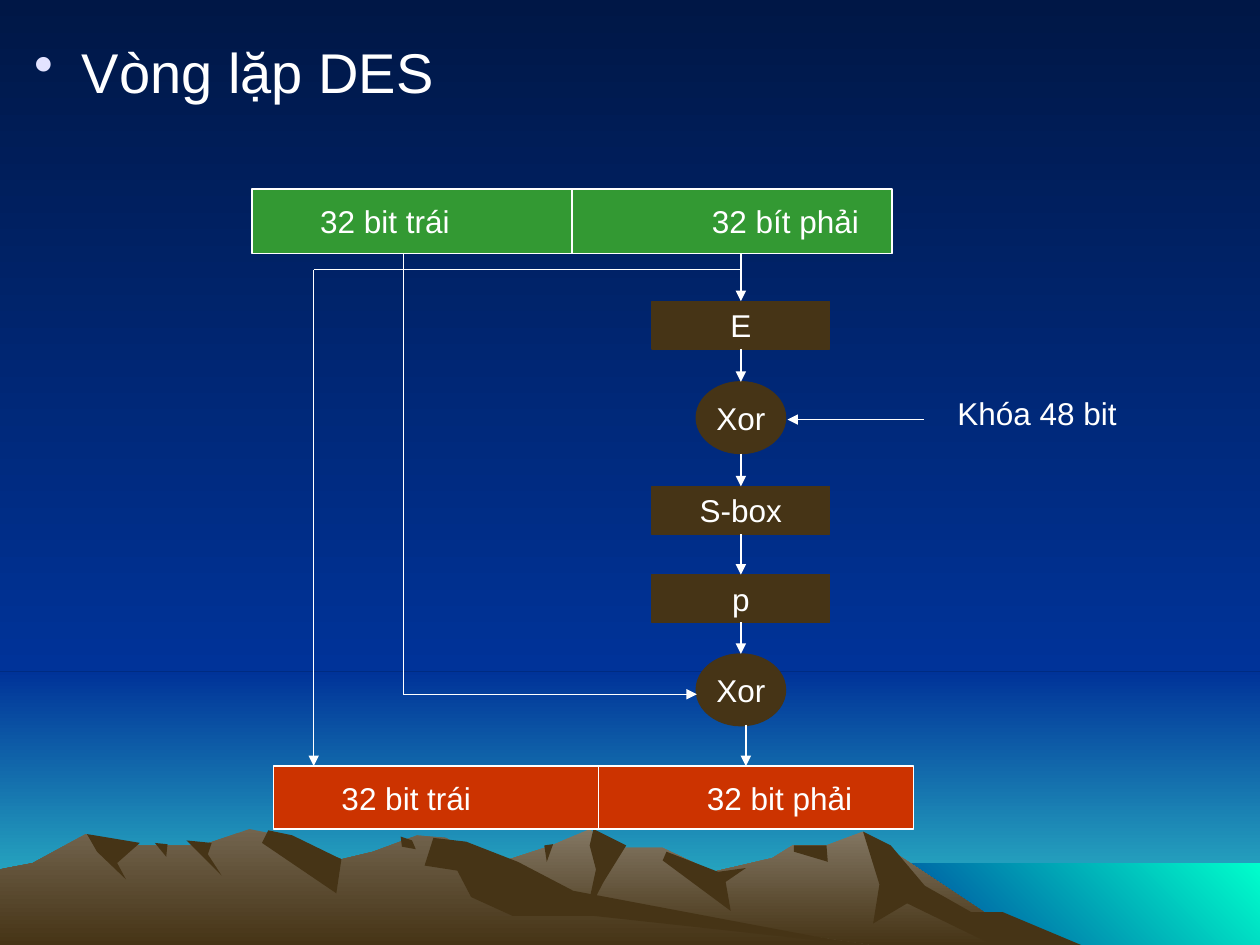
from lxml import etree
from pptx import Presentation
from pptx import util as u
from pptx.dml.color import RGBColor
from pptx.enum import shapes, text
from pptx.oxml.ns import qn

WHITE = RGBColor(0xFF, 0xFF, 0xFF)
NIGHT = RGBColor(0x00, 0x17, 0x46)
BLUE = RGBColor(0x00, 0x33, 0x99)
TEAL = RGBColor(0x33, 0xCC, 0xCC)
AQUA = RGBColor(0x00, 0xFF, 0xCC)
STONE = RGBColor(0x83, 0x77, 0x63)
EARTH = RGBColor(0x72, 0x64, 0x4E)
BROWN = RGBColor(0x46, 0x34, 0x16)
GREEN = RGBColor(0x33, 0x99, 0x33)
RED = RGBColor(0xCC, 0x33, 0x00)
LILAC = RGBColor(0xE3, 0xE3, 0xFF)

W, H = 10, 7.5
HORIZON = 5.33
SEA_X, SEA_Y = 6.83, 6.85
FONT = "Arial"
DOWN, DOWN_LEFT = 270, 225
RECT, OVAL = shapes.MSO_SHAPE.RECTANGLE, shapes.MSO_SHAPE.OVAL

TITLE = "Vòng lặp DES"
KEY = "Khóa 48 bit"

BACKDROP = [
    (0, HORIZON, W, H - HORIZON, (BLUE, TEAL), DOWN),
    (0, 0, W, HORIZON, (NIGHT, BLUE), DOWN),
    (SEA_X, SEA_Y, W - SEA_X, H - SEA_Y, (AQUA, BLUE), DOWN_LEFT),
]

PEAKS = [
    ((STONE, BROWN), [
        (2.58, H), (3.55, 6.98), (4.38, 6.71), (4.68, 6.58), (4.86, 6.73), (5.26, 6.73),
        (5.66, 6.92), (6.13, 6.81), (6.29, 6.71), (6.56, 6.71), (6.85, 6.6), (8.2, H)]),
    (BROWN, [
        (6.85, 6.6), (7.07, 6.71), (7.34, 7.03), (7.71, 7.24), (7.96, 7.24), (8.58, H),
        (7.88, H), (7.2, 7.17), (6.93, 7.33), (6.98, 7.02)]),
    (BROWN, [
        (4.71, 6.58), (4.97, 6.71), (4.79, 7), (4.65, 7.27), (4.73, 6.9), (4.68, 6.71)]),
    (BROWN, [(5.29, 6.76), (5.7, 6.92), (5.92, 6.89), (5.76, 7), (5.8, 7.23), (5.26, 6.83)]),
    (BROWN, [(6.3, 6.71), (6.56, 6.71), (6.57, 6.84), (6.3, 6.76)]),
    (BROWN, [(4.32, 6.71), (4.39, 6.7), (4.34, 6.84)]),
    ((EARTH, BROWN), [
        (0, H), (0, 6.9), (0.26, 6.85), (0.68, 6.62), (0.94, 6.71), (1.6, 6.71),
        (1.98, 6.58), (2.23, 6.63), (2.71, 6.82), (2.96, 6.76), (3.31, 6.63),
        (3.54, 6.65), (4.32, 7.12), (6.9, H)]),
    (BROWN, [(2.13, 6.59), (2.32, 6.63), (2.71, 6.82), (2.67, 7.09), (2.08, 6.69)]),
    (BROWN, [
        (3.44, 6.65), (3.7, 6.68), (4.11, 6.84), (4.55, 7.07), (6.83, H), (4.72, 7.27),
        (4.07, 7.27), (3.74, 7.12), (3.63, 6.91), (3.37, 6.87)]),
    (BROWN, [(3.18, 6.64), (3.27, 6.67), (3.3, 6.74), (3.19, 6.72)]),
    (BROWN, [(1.48, 6.67), (1.68, 6.69), (1.65, 6.78), (1.76, 6.95)]),
    (BROWN, [(1.23, 6.69), (1.33, 6.7), (1.32, 6.8)]),
    (BROWN, [(0.69, 6.62), (1.11, 6.69), (0.93, 6.85), (1, 6.98), (0.77, 6.76)]),
]

AXIS = 5.88
STEP_SIZE = {RECT: (1.41, 0.38), OVAL: (0.71, 0.57)}
STEPS = [
    ("E", RECT, 2.39),
    ("Xor", OVAL, 3.03),
    ("S-box", RECT, 3.86),
    ("p", RECT, 4.56),
    ("Xor", OVAL, 5.19),
]
BAND_W = 5.08
BANDS = [
    (("32 bit trái", "32 bít phải"), (2.54, 5.65), 2, 1.5, 0.51, 4.54, GREEN),
    (("32 bit trái", "32 bit phải"), (2.71, 5.61), 2.17, 6.08, 0.5, 4.75, RED),
]
TOP_EDGE, BOTTOM_EDGE = 2.01, 6.08
ROUTES = [
    [(3.2, TOP_EDGE), (3.2, 5.51), (5.53, 5.51)],
    [(AXIS, 2.14), (2.49, 2.14), (2.49, BOTTOM_EDGE)],
    [(7.33, 3.33), (6.25, 3.33)],
    [(5.92, 5.75), (5.92, BOTTOM_EDGE)],
]


def paint(fill, color, angle=DOWN):
    if isinstance(color, RGBColor):
        fill.solid()
        fill.fore_color.rgb = color
        return
    fill.gradient()
    fill.gradient_angle = angle
    for stop, rgb in zip(fill.gradient_stops, color):
        stop.color.rgb = rgb


def finish(sp, color, line=None, angle=DOWN):
    sp.shadow.inherit = False
    paint(sp.fill, color, angle)
    if line is None:
        sp.line.fill.background()
    else:
        sp.line.color.rgb = line
        sp.line.width = u.Pt(0.75)
    return sp


def write(tf, words, size=18, align=text.PP_ALIGN.LEFT):
    p = tf.paragraphs[0]
    p.alignment = align
    r = p.add_run()
    r.text = words
    r.font.size, r.font.name, r.font.color.rgb = u.Pt(size), FONT, WHITE
    return p


def box(slide, kind, x, y, w, h):
    return slide.shapes.add_shape(kind, *map(u.Inches, (x, y, w, h)))


def connect(slide, start, end, arrow=False):
    c = slide.shapes.add_connector(
        shapes.MSO_CONNECTOR.STRAIGHT, *map(u.Inches, (*start, *end)))
    c.line.color.rgb = WHITE
    c.line.width = u.Pt(0.75)
    if arrow:
        etree.SubElement(c.line._get_or_add_ln(), qn("a:tailEnd"), type="triangle")
    etree.SubElement(c._element.spPr, qn("a:effectLst"))


def add_scenery(slide):
    paint(slide.background.fill, (NIGHT, BLUE))
    for x, y, w, h, color, angle in BACKDROP:
        finish(box(slide, RECT, x, y, w, h), color, angle=angle)
    for color, points in PEAKS:
        first, *rest = [tuple(map(u.Inches, point)) for point in points]
        fb = slide.shapes.build_freeform(*first)
        fb.add_line_segments(rest, close=True)
        finish(fb.convert_to_shape(), color)


def add_title(slide):
    sp = slide.shapes.title
    slide.shapes._spTree.append(sp._element)
    sp.left, sp.top, sp.width, sp.height = map(u.Inches, (0.17, 0.25, 9.33, 0.8))
    tf = sp.text_frame
    tf.auto_size = text.MSO_AUTO_SIZE.NONE
    tf.vertical_anchor = text.MSO_ANCHOR.TOP
    pPr = write(tf, TITLE, 32)._p.get_or_add_pPr()
    pPr.set("marL", str(u.Inches(0.38)))
    pPr.set("indent", str(-u.Inches(0.38)))
    clr = etree.SubElement(pPr, qn("a:buClr"))
    etree.SubElement(clr, qn("a:srgbClr"), val=str(LILAC))
    etree.SubElement(pPr, qn("a:buChar"), char="•")


def add_diagram(slide):
    for words, starts, x, y, h, split, color in BANDS:
        sp = finish(box(slide, RECT, x, y, BAND_W, h), color, WHITE)
        tf = sp.text_frame
        tf.margin_left = u.Inches(starts[0] - x)
        p = write(tf, "\t".join(words))
        tabs = etree.SubElement(p._p.get_or_add_pPr(), qn("a:tabLst"))
        etree.SubElement(tabs, qn("a:tab"), pos=str(u.Inches(starts[1] - starts[0])), algn="l")
        connect(slide, (split, y), (split, y + h))
    above = TOP_EDGE
    for name, kind, y in STEPS:
        w, h = STEP_SIZE[kind]
        sp = finish(box(slide, kind, AXIS - w / 2, y, w, h), BROWN, BROWN)
        sp.text_frame.word_wrap = False
        write(sp.text_frame, name, align=text.PP_ALIGN.CENTER)
        connect(slide, (AXIS, above), (AXIS, y), True)
        above = y + h
    for route in ROUTES:
        for start, end in zip(route, route[1:]):
            connect(slide, start, end, end == route[-1])
    tb = slide.shapes.add_textbox(*map(u.Inches, (7.5, 3.08, 1.58, 0.4)))
    tb.text_frame.word_wrap = True
    write(tb.text_frame, KEY)


def main():
    prs = Presentation()
    prs.slide_width, prs.slide_height = u.Inches(W), u.Inches(H)
    slide = prs.slides.add_slide(prs.slide_layouts[5])
    add_scenery(slide)
    add_diagram(slide)
    add_title(slide)
    prs.save("out.pptx")


if __name__ == "__main__":
    main()
